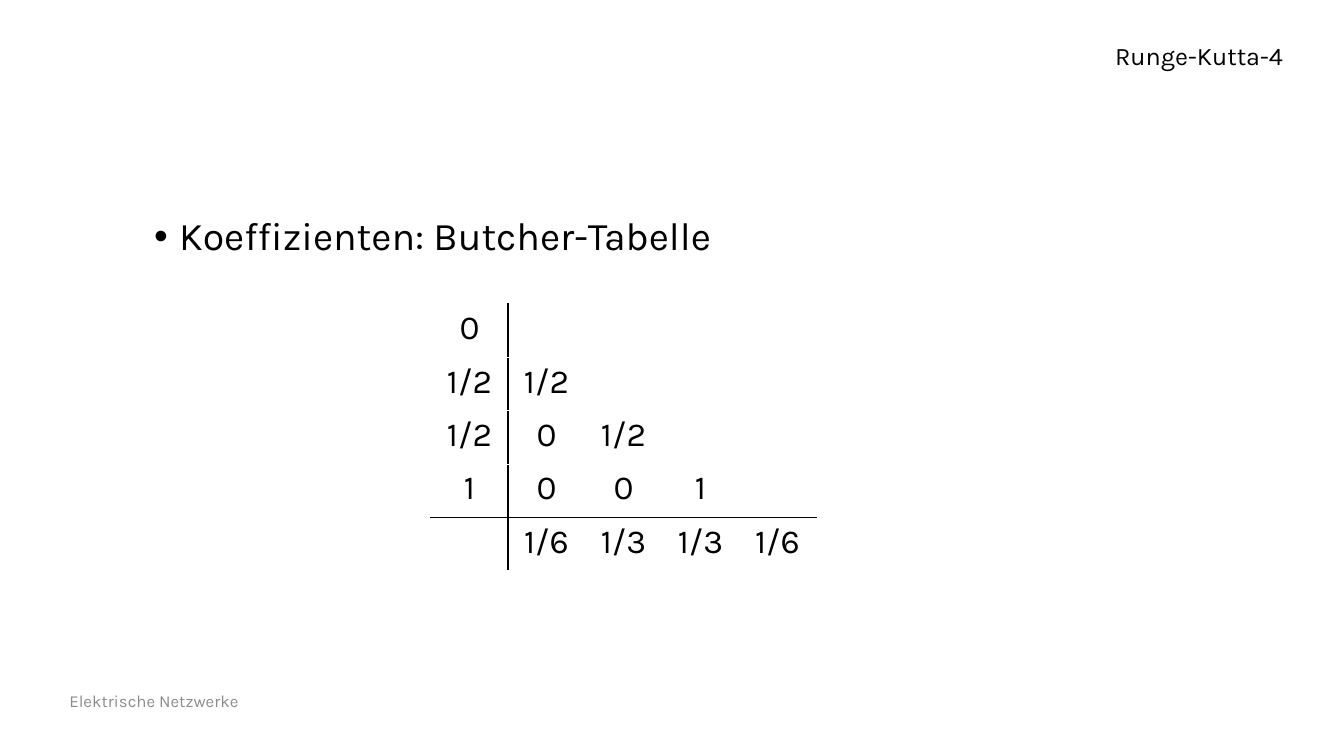
"""Build a slide with the Butcher table of the classic Runge-Kutta method."""
from lxml import etree
from pptx import Presentation
from pptx.dml.color import RGBColor
from pptx.enum.text import MSO_ANCHOR, MSO_AUTO_SIZE, PP_ALIGN
from pptx.oxml.ns import qn
from pptx.util import Emu, Pt

LEFT, CENTER = PP_ALIGN.LEFT, PP_ALIGN.CENTER
TOP, MIDDLE = MSO_ANCHOR.TOP, MSO_ANCHOR.MIDDLE
FIXED = MSO_AUTO_SIZE.NONE

SIZE = (1344, 756)
TITLE = ("Runge-Kutta-4", (1105, 35, 192, 40))
POINT = ("Koeffizienten: Butcher-Tabelle", (93, 212, 1159, 453))
FOOTER = ("Elektrische Netzwerke", (0, 681, 308, 40))
GRID = (431, 304, 385, 267)
ROWS = [
    ["0", "", "", "", ""],
    ["1/2", "1/2", "", "", ""],
    ["1/2", "0", "1/2", "", ""],
    ["1", "0", "0", "1", ""],
    ["", "1/6", "1/3", "1/3", "1/6"],
]
BLACK, GRAY = "000000", "8C8C8C"
FONT = "Karla"


def px(num):
    return Emu(round(num * 914400 / 100.8))


def color(code):
    return RGBColor.from_string(code)


def place(shape, box):
    shape.left, shape.top, shape.width, shape.height = map(px, box)


def write(frame, text, size, tint=BLACK, align=LEFT, anchor=TOP):
    frame.word_wrap = True
    frame.vertical_anchor = anchor
    para = frame.paragraphs[0]
    para.alignment = align
    run = para.add_run()
    run.text = text
    run.font.size, run.font.name = Pt(size), FONT
    run.font.color.rgb = color(tint)
    return para


def bullet(para):
    para.level = 1
    para.line_spacing, para.space_before = 0.9, Pt(5)
    props = para._p.get_or_add_pPr()
    props.set("marL", str(px(76)))
    props.set("indent", str(-px(25)))
    etree.SubElement(props, qn("a:buFont"), typeface="Arial")
    etree.SubElement(props, qn("a:buChar"), char="•")


def border(cell, side):
    props = cell._tc.get_or_add_tcPr()
    line = etree.SubElement(props, qn("a:ln" + side), w=str(Pt(1)))
    fill = etree.SubElement(line, qn("a:solidFill"))
    etree.SubElement(fill, qn("a:srgbClr"), val=BLACK)


def sides(row, col):
    across = {0: "R", 1: "L"}.get(col, "")
    last = len(ROWS) - 1
    return across + {last - 1: "B", last: "T"}.get(row, "")


def draw_grid(slide):
    count, width = len(ROWS), len(ROWS[0])
    table = slide.shapes.add_table(count, width, *map(px, GRID)).table
    table.first_row = table.horz_banding = False
    for r, row in enumerate(ROWS):
        for c, text in enumerate(row):
            cell = table.cell(r, c)
            for side in sides(r, c):
                border(cell, side)
            cell.fill.background()
            if text:
                write(cell.text_frame, text, 24, align=CENTER)


def main():
    deck = Presentation()
    deck.slide_width, deck.slide_height = map(px, SIZE)
    slide = deck.slides.add_slide(deck.slide_layouts[1])
    title, body = slide.shapes.title, slide.placeholders[1]
    foot = slide.shapes.add_textbox(0, 0, 0, 0)
    for shape, (text, box) in ((title, TITLE), (body, POINT), (foot, FOOTER)):
        place(shape, box)
        shape.text_frame.auto_size = FIXED
    write(title.text_frame, TITLE[0], 18)
    bullet(write(body.text_frame, POINT[0], 28))
    write(foot.text_frame, FOOTER[0], 12, GRAY, CENTER, MIDDLE)
    draw_grid(slide)
    deck.save("out.pptx")


if __name__ == "__main__":
    main()
